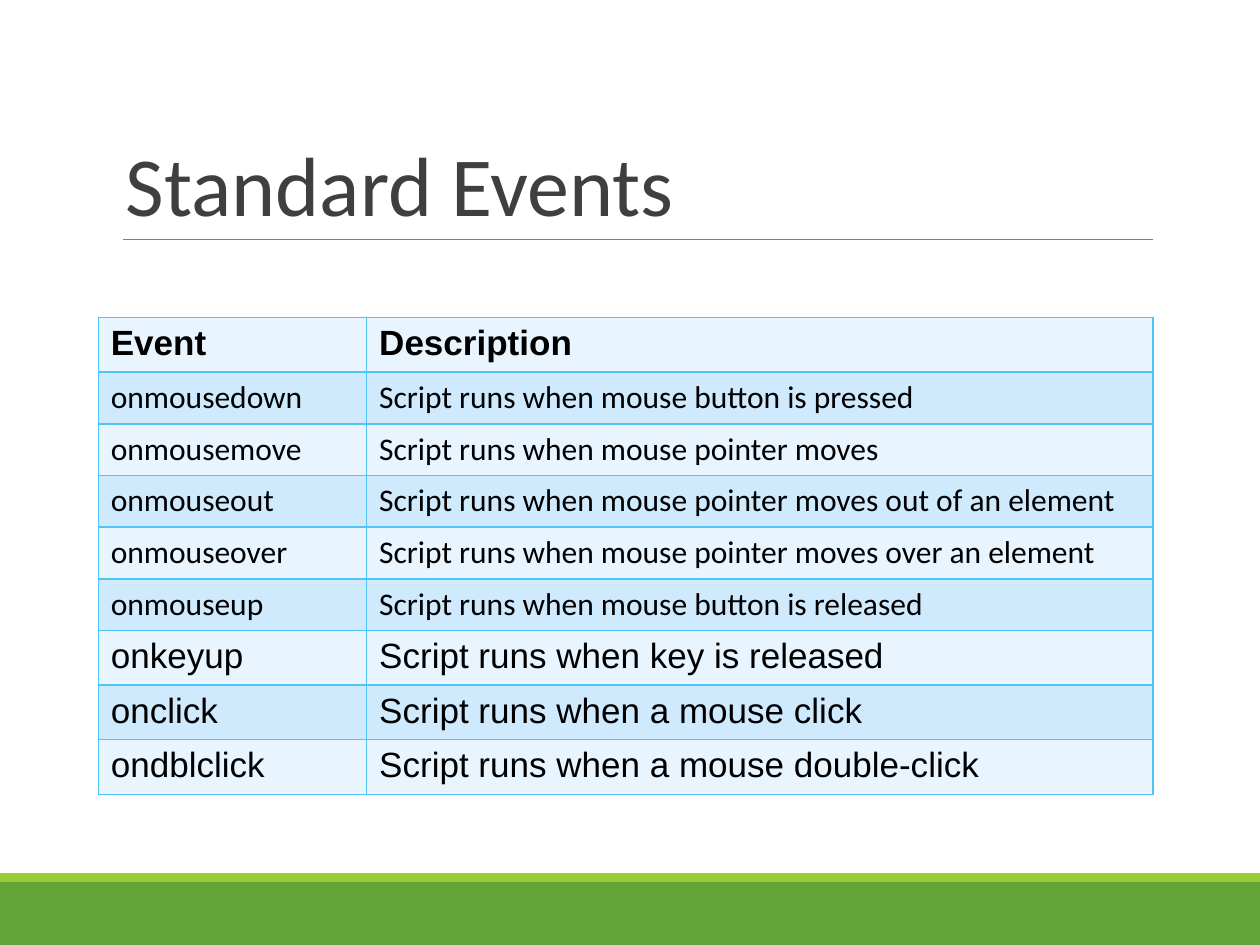
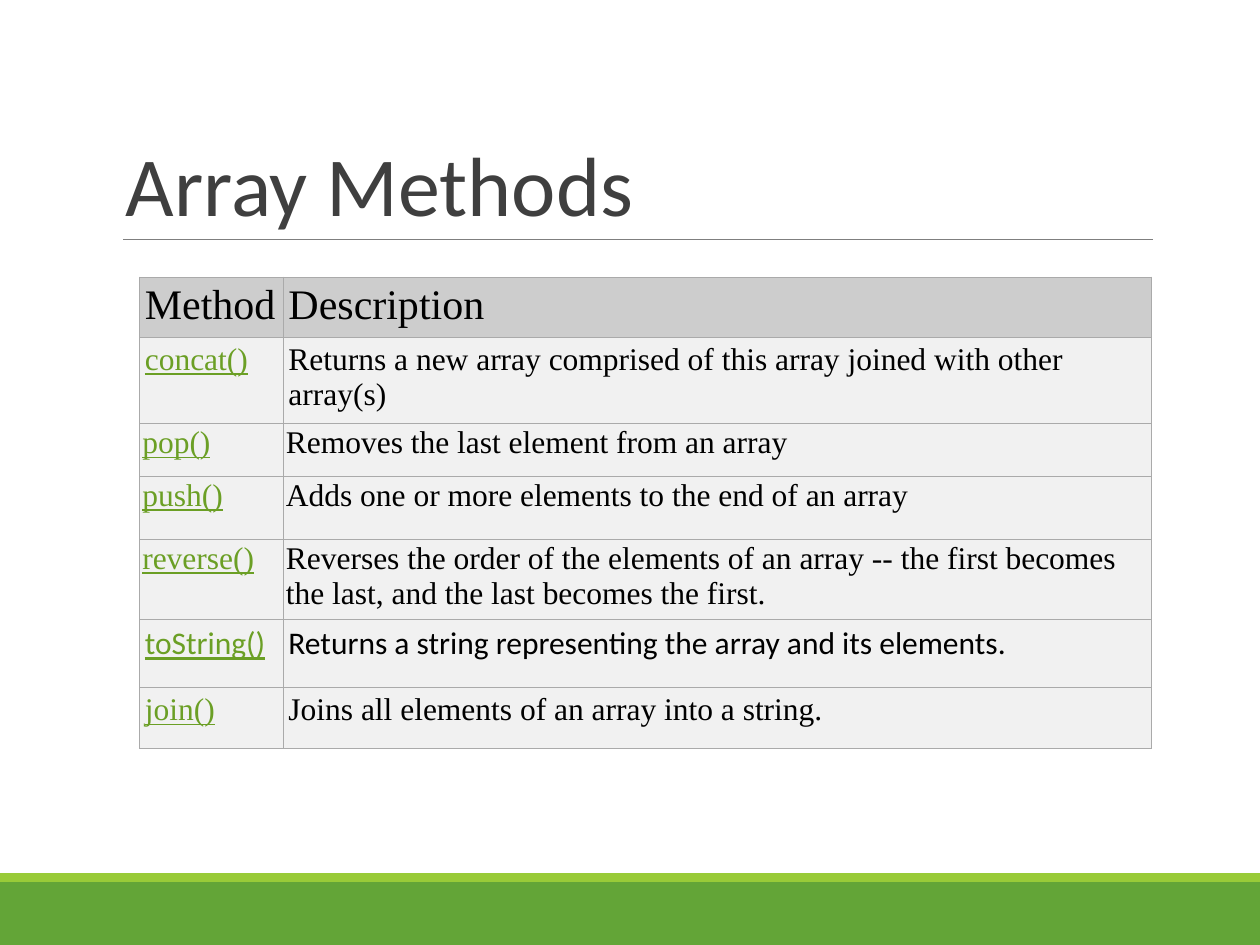
from lxml import etree
from pptx import Presentation
from pptx import util as u
from pptx.dml.color import RGBColor
from pptx.enum import shapes, text
from pptx.oxml import ns

COLORS = {
    "band": "63A537", "stripe": "99CB38", "rule": "7F7F7F", "title": "3F3F3F",
    "text": "000000", "method": "6B9F25",
    "event_border": "51C3F9", "event_light": "E8F4FE", "event_dark": "CFE9FD",
    "method_border": "AAAAAA", "method_header": "CDCDCD", "method_body": "F1F1F1",
}
SANS, ARIAL, SERIF = "Calibri", "Arial", "Times New Roman"

EVENTS = [
    ("Event", "Description", ARIAL),
    ("onmousedown", "Script runs when mouse button is pressed", SANS),
    ("onmousemove", "Script runs when mouse pointer moves", SANS),
    ("onmouseout", "Script runs when mouse pointer moves out of an element", SANS),
    ("onmouseover", "Script runs when mouse pointer moves over an element", SANS),
    ("onmouseup", "Script runs when mouse button is released", SANS),
    ("onkeyup", "Script runs when key is released", ARIAL),
    ("onclick", "Script runs when a mouse click", ARIAL),
    ("ondblclick", "Script runs when a mouse double-click", ARIAL),
]
METHODS = [
    ("Method", "Description", SERIF, 0.04, 0.44),
    ("concat()", "Returns a new array comprised of this array joined with other array(s)",
     SERIF, 0.04, 0.62),
    ("pop()", "Removes the last element from an array", SERIF, 0.02, 0.42),
    ("push()", "Adds one or more elements to the end of an array", SERIF, 0.02, 0.5),
    ("reverse()", "Reverses the order of the elements of an array -- the first becomes "
     "the last, and the last becomes the first.", SERIF, 0.02, 0.59),
    ("toString()", "Returns a string representing the array and its elements.",
     SANS, 0.04, 0.54),
    ("join()", "Joins all elements of an array into a string.", SERIF, 0.04, 0.48),
]


class Deck:
    def __init__(self):
        self.presentation = Presentation()
        self.presentation.slide_width = u.Inches(10)
        self.presentation.slide_height = u.Inches(7.5)
        self.slide = None

    def color(self, name):
        return RGBColor.from_string(COLORS[name])

    def start_slide(self, title):
        self.slide = self.presentation.slides.add_slide(self.presentation.slide_layouts[6])
        self.band(7, 0.5, "band")
        self.band(6.93, 0.07, "stripe")
        self.rule(0.98, 9.15, 1.9)
        self.title(title)

    def band(self, top, height, color):
        shape = self.slide.shapes.add_shape(
            shapes.MSO_SHAPE.RECTANGLE, 0, u.Inches(top), u.Inches(10), u.Inches(height))
        shape.shadow.inherit = False
        shape.fill.solid()
        shape.fill.fore_color.rgb = self.color(color)
        shape.line.fill.background()

    def rule(self, left, right, top):
        connector = self.slide.shapes.add_connector(
            shapes.MSO_CONNECTOR.STRAIGHT,
            u.Inches(left), u.Inches(top), u.Inches(right), u.Inches(top))
        connector.line.color.rgb = self.color("rule")
        connector.line.width = u.Pt(0.75)
        etree.SubElement(connector._element.spPr, ns.qn("a:effectLst"))

    def style(self, paragraph, font, size, color, bold=False, underline=False):
        paragraph.font.name = font
        paragraph.font.size = u.Pt(size)
        paragraph.font.color.rgb = self.color(color)
        paragraph.font.bold = bold
        paragraph.font.underline = underline

    def title(self, wording):
        shape = self.slide.shapes.add_textbox(
            u.Inches(0.9), u.Inches(0.31), u.Inches(8.25), u.Inches(1.59))
        frame = shape.text_frame
        frame.word_wrap = True
        frame.vertical_anchor = text.MSO_ANCHOR.BOTTOM
        paragraph = frame.paragraphs[0]
        paragraph.text = wording
        paragraph.line_spacing = 0.85
        self.style(paragraph, SANS, 48, "title")

    def table(self, left, top, widths, heights):
        shape = self.slide.shapes.add_table(
            len(heights), len(widths), u.Inches(left), u.Inches(top),
            u.Inches(sum(widths)), u.Inches(sum(heights)))
        table = shape.table
        table.first_row = table.horz_banding = False
        for column, width in zip(table.columns, widths):
            column.width = u.Inches(width)
        for row, height in zip(table.rows, heights):
            row.height = u.Inches(height)
        return table

    def cell(self, cell, wording, fill, border, border_width, margins, **font):
        cell.margin_left = cell.margin_right = u.Inches(margins[0])
        cell.margin_top = cell.margin_bottom = u.Inches(margins[1])
        cell.fill.solid()
        cell.fill.fore_color.rgb = self.color(fill)
        properties = cell._tc.get_or_add_tcPr()
        for index, side in enumerate(("lnL", "lnR", "lnT", "lnB")):
            line = etree.Element(ns.qn(f"a:{side}"), w=str(u.Pt(border_width)))
            solid = etree.SubElement(line, ns.qn("a:solidFill"))
            etree.SubElement(solid, ns.qn("a:srgbClr"), val=COLORS[border])
            properties.insert(index, line)
        paragraph = cell.text_frame.paragraphs[0]
        paragraph.text = wording
        self.style(paragraph, **font)

    def events_slide(self):
        self.start_slide("Standard Events")
        table = self.table(0.78, 2.52, (2.13, 6.24), [0.41] * len(EVENTS))
        for row, (event, description, font) in enumerate(EVENTS):
            fill = "event_dark" if row % 2 else "event_light"
            for column, wording in enumerate((event, description)):
                self.cell(table.cell(row, column), wording, fill, "event_border", 1,
                          (0.1, 0.05), font=font, size=20 if font == ARIAL else 18,
                          color="text", bold=row == 0)

    def methods_slide(self):
        self.start_slide("Array Methods")
        table = self.table(1.11, 2.2, (1.14, 6.89), [method[-1] for method in METHODS])
        for row, (method, description, font, margin, _) in enumerate(METHODS):
            header = row == 0
            for column, wording in enumerate((method, description)):
                is_method = column == 0 and not header
                self.cell(table.cell(row, column), wording,
                          "method_header" if header else "method_body",
                          "method_border", 0.75, (margin, margin), font=font,
                          size=24 if header else 18,
                          color="method" if is_method else "text", underline=is_method)


def main():
    deck = Deck()
    deck.events_slide()
    deck.methods_slide()
    deck.presentation.save("out.pptx")


if __name__ == "__main__":
    main()
